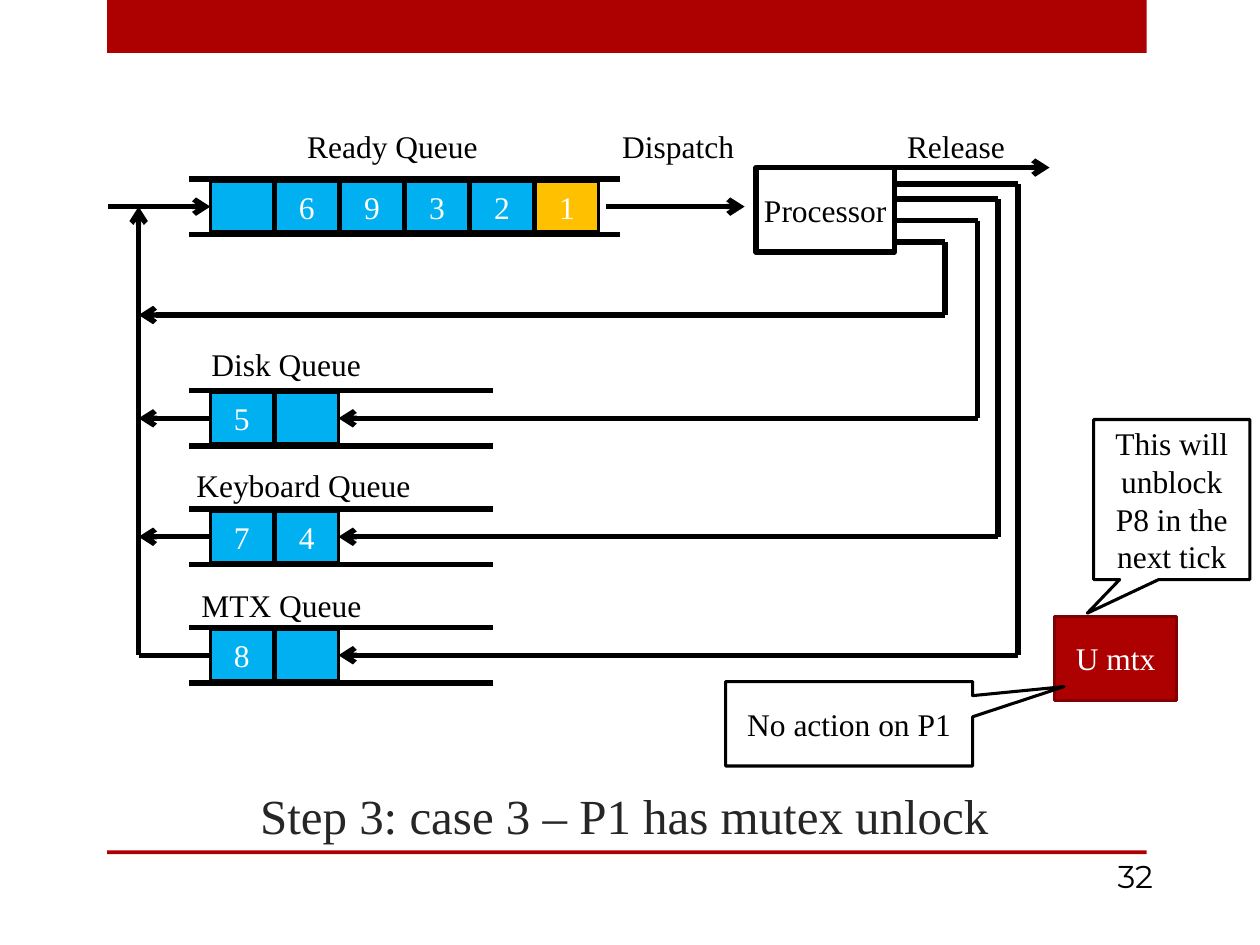
from lxml.etree import SubElement
from pptx import Presentation
from pptx.dml.color import RGBColor
from pptx.enum.shapes import MSO_CONNECTOR, MSO_SHAPE
from pptx.enum.text import MSO_ANCHOR, MSO_AUTO_SIZE, PP_ALIGN
from pptx.oxml.ns import qn
from pptx.util import Inches, Pt

BLACK = RGBColor(0x00, 0x00, 0x00)
WHITE = RGBColor(0xFF, 0xFF, 0xFF)
DARK_GREY = RGBColor(0x26, 0x26, 0x26)
RED = RGBColor(0xAD, 0x01, 0x01)
DARK_RED = RGBColor(0x80, 0x01, 0x01)
BLUE = RGBColor(0x00, 0xB0, 0xF0)
AMBER = RGBColor(0xFF, 0xC0, 0x00)

COLUMNS, ROWS = 100, 75
TOP, LEFT, BOTTOM, RIGHT = range(4)


def write(tf, text, size=18, font="Times New Roman", color=BLACK,
          align=PP_ALIGN.CENTER, anchor=MSO_ANCHOR.MIDDLE, wrap=True):
    tf.word_wrap = wrap
    tf.vertical_anchor = anchor
    p = tf.paragraphs[0]
    p.alignment = align
    r = p.add_run()
    r.text = text
    r.font.size, r.font.name = Pt(size), font
    r.font.color.rgb = color


class QueueSlide:
    """Current slide and its style; lengths are grid columns and rows."""

    line_width = 3
    cell_w, cell_h, pitch = 5, 4, 5.16
    cell_left, rail_left = 16.7, 15

    def __init__(self, prs):
        self.s = prs.slides.add_slide(prs.slide_layouts[5])
        self.col = prs.slide_width / COLUMNS
        self.row = prs.slide_height / ROWS

    def grid(self, *lengths):
        return [round(n * unit) for n, unit in
                zip(lengths, (self.col, self.row) * 2)]

    def title(self, text, *box):
        sp = self.s.shapes.title
        sp.left, sp.top, sp.width, sp.height = self.grid(*box)
        sp.text_frame.auto_size = MSO_AUTO_SIZE.NONE
        write(sp.text_frame, text, size=28, color=DARK_GREY,
              anchor=MSO_ANCHOR.BOTTOM)

    def label(self, text, *box, **fmt):
        tf = self.s.shapes.add_textbox(*self.grid(*box)).text_frame
        fmt = {"align": PP_ALIGN.LEFT, "anchor": MSO_ANCHOR.TOP,
               "wrap": False, **fmt}
        write(tf, text, **fmt)

    def box(self, *box, fill=None, line=None, width=1.5, text="",
            kind=MSO_SHAPE.RECTANGLE, adjust=(), **fmt):
        sp = self.s.shapes.add_shape(kind, *self.grid(*box))
        sp.shadow.inherit = False
        for i, value in enumerate(adjust):
            sp.adjustments[i] = value
        if fill is None:
            sp.fill.background()
        else:
            sp.fill.solid()
            sp.fill.fore_color.rgb = fill
        if line is None:
            sp.line.fill.background()
        else:
            sp.line.color.rgb = line
            sp.line.width = Pt(width)
        if text:
            write(sp.text_frame, text, **fmt)
        return sp

    def callout(self, text, *box, adjust):
        self.box(*box, fill=WHITE, line=BLACK, width=1.75, text=text,
                 kind=MSO_SHAPE.RECTANGULAR_CALLOUT, adjust=adjust)

    def line(self, start, end, arrow=False, begin=None, finish=None):
        c = self.s.shapes.add_connector(
            MSO_CONNECTOR.STRAIGHT, *self.grid(*start, *end))
        c.line.color.rgb = BLACK
        c.line.width = Pt(self.line_width)
        if arrow:
            SubElement(c.line._get_or_add_ln(), qn("a:tailEnd"), type="arrow")
        SubElement(c._element.spPr, qn("a:effectLst"))
        if begin:
            c.begin_connect(*begin)
        if finish:
            c.end_connect(*finish)

    def queue(self, top, rail_right, jobs, running=None):
        """Draw two rails with a row of cells; return the cells."""
        for y in (top - 0.2, top + self.cell_h + 0.2):
            self.line((self.rail_left, y), (rail_right, y))
        return [self.box(self.cell_left + i * self.pitch, top,
                         self.cell_w, self.cell_h, line=BLACK,
                         fill=AMBER if job and job == running else BLUE,
                         text=job, color=WHITE)
                for i, job in enumerate(jobs)]


def main():
    prs = Presentation()
    prs.slide_width, prs.slide_height = Inches(10), Inches(7.5)
    q = QueueSlide(prs)

    # Frame, title and page number
    q.box(8.5, 0, 82.5, 4.2, fill=RED)
    q.box(8.5, 67.5, 82.5, 0.3, fill=RED)
    q.title("Step 3: case 3 – P1 has mutex unlock", 8.3, 50, 82.5, 17.5)
    q.label("32", 85, 67.5, 7.5, 4, font="Montserrat",
            align=PP_ALIGN.RIGHT, wrap=True)

    # Ready queue and processor
    trunk, ready_y = 11, 16.4
    ready = q.queue(14.4, 49.2, ["", "6", "9", "3", "2", "1"], running="1")
    q.line((8.6, ready_y), (q.cell_left, ready_y), arrow=True,
           finish=(ready[0], LEFT))
    q.line((48.1, ready_y), (59.1, ready_y), arrow=True)
    q.box(60, 13.3, 11, 6.7, line=BLACK, width=3, text="Processor", wrap=False)
    q.line((71, 13.3), (83.3, 13.3), arrow=True)
    for text, x, w in (("Ready Queue", 23.4, 15.7), ("Dispatch", 48.4, 11),
                       ("Release", 71, 9.9)):
        # "Release" sits centred over its arrow
        q.label(text, x, 9.6, w, 4)

    # Return path to the ready queue
    q.line((trunk, 52), (trunk, ready_y), arrow=True)
    q.line((71, 19.2), (75, 19.2))
    q.line((75, 19.2), (75, 25))
    q.line((75, 25), (trunk, 25), arrow=True)

    # Waiting queues: name, label box, cell top, jobs, exit row, turn column
    waiting = (
        ("Disk Queue", (15.8, 26.9, 14), 31.2, ["5", ""], 17.5, 77.6),
        ("Keyboard Queue", (14.6, 36.5, 19.2), 40.6, ["7", "4"], 15.8, 79.2),
        ("MTX Queue", (15, 46, 14.9), 50, ["8", ""], 14.6, 80.8),
    )
    for name, place, top, jobs, exit_y, turn in waiting:
        mid = top + q.cell_h / 2
        cells = q.queue(top, 39.1, jobs)
        q.label(name, *place, 4)
        q.line((71, exit_y), (turn, exit_y))
        q.line((turn, exit_y), (turn, mid))
        q.line((turn, mid), (27, mid), arrow=True, finish=(cells[-1], RIGHT))
        q.line((q.cell_left, mid), (trunk, mid), arrow=name != "MTX Queue",
               begin=(cells[0], LEFT))

    # Mutex unlock and its remarks
    q.box(83.7, 48.9, 9.7, 6.7, fill=RED, line=DARK_RED, width=1.75,
          text="U mtx", color=WHITE)
    q.callout("No action on P1", 57.6, 54.1, 19.6, 6.7, adjust=(0.87, -0.44))
    q.callout("This will unblock P8 in the next tick",
              86.8, 33.3, 12.4, 12.7, adjust=(-0.54, 0.71))

    prs.save("out.pptx")


if __name__ == "__main__":
    main()
